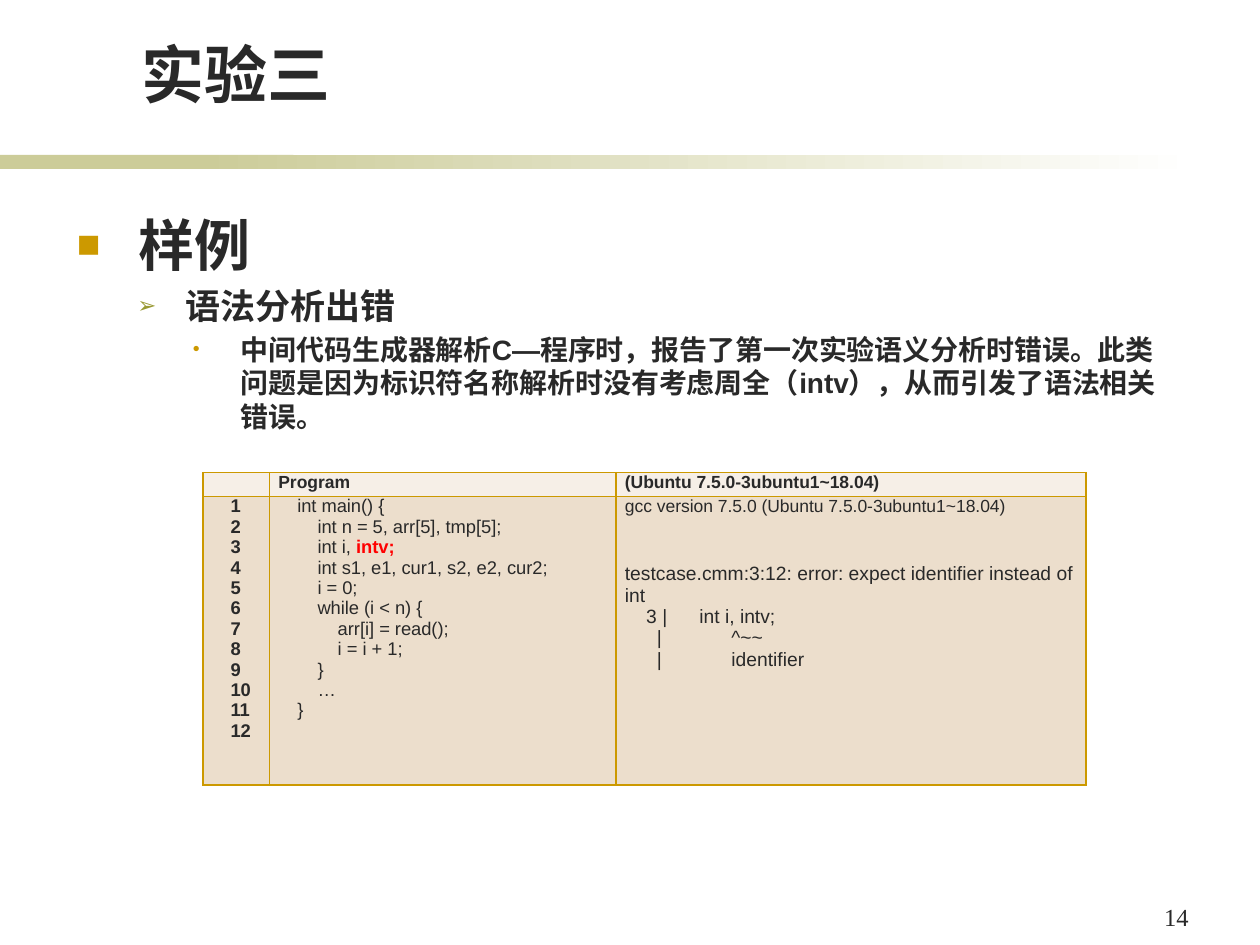
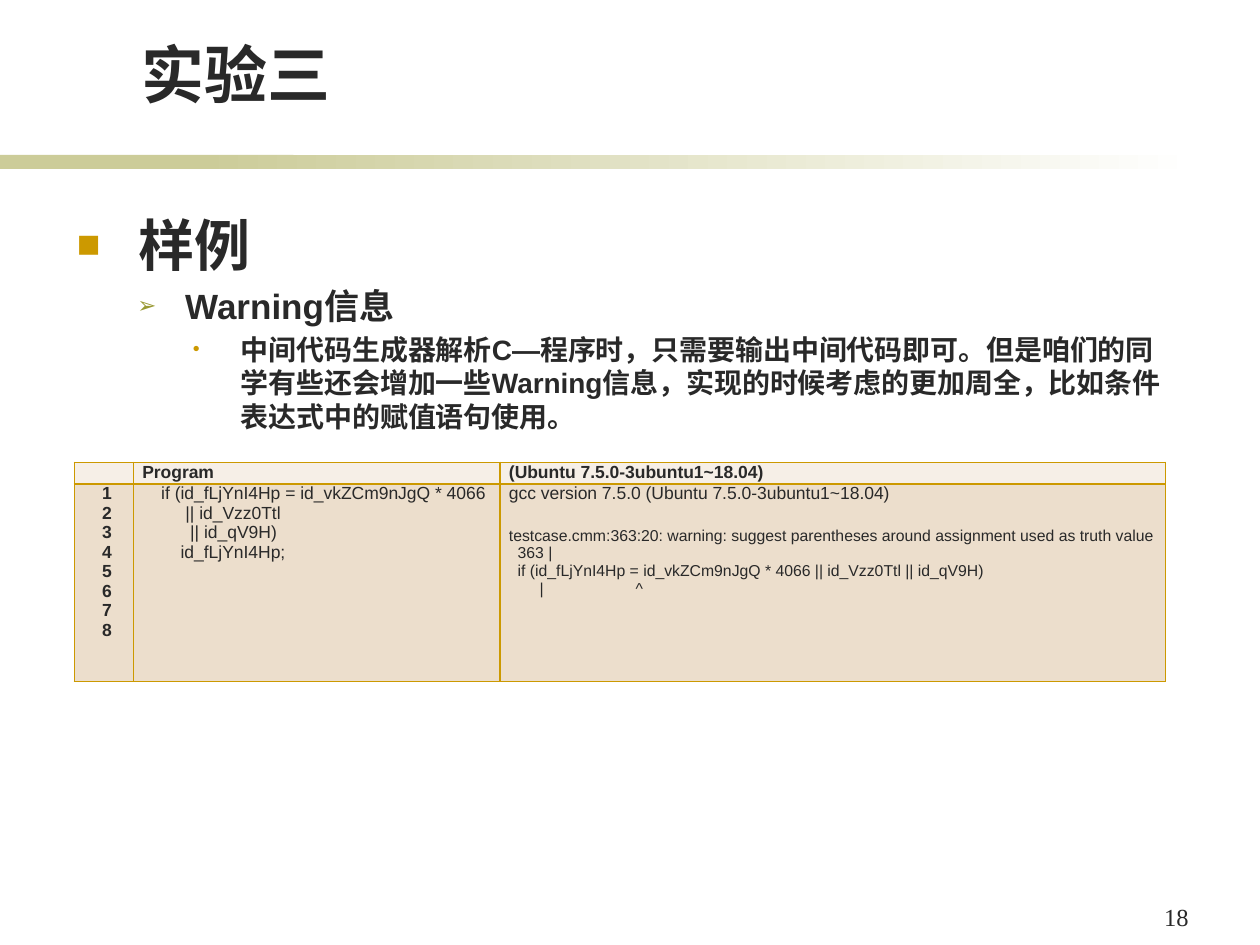
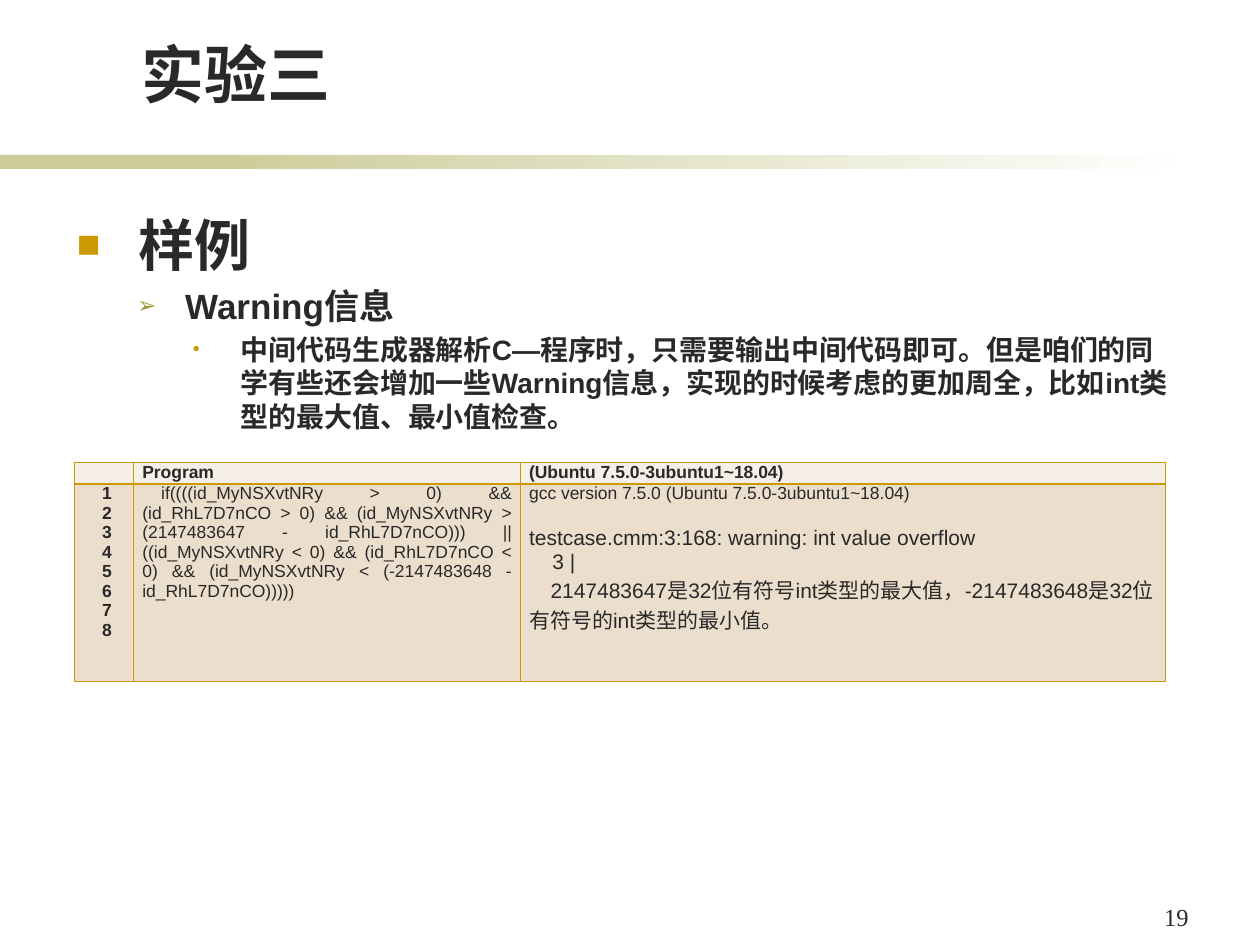
from lxml.etree import SubElement
from pptx import Presentation
from pptx.dml.color import RGBColor
from pptx.enum.shapes import MSO_SHAPE
from pptx.enum.text import MSO_ANCHOR, MSO_AUTO_SIZE, PP_ALIGN
from pptx.oxml.ns import qn
from pptx.util import Inches, Pt

COLORS = {
    "text": "292929", "band": "CCCC99", "paper": "FFFFFF", "gold": "CC9900",
    "olive": "999933", "error": "FF0000", "head": "F6EFE7", "cell": "ECDECC",
}
# Bullet, its colour and size in percent, left margin and hanging in grid columns, text size
LEVELS = [
    ("■", "gold", 70, 4.9, 4.9, 32),
    ("➢", "olive", 65, 8.6, 3.8, 20),
    ("•", "gold", 70, 13, 3.8, 16),
]
COMPILER = "(Ubuntu 7.5.0-3ubuntu1~18.04)"
WARNING_INTRO = ("中间代码生成器解析C—程序时，只需要输出中间代码即可。但是咱们的同学有些"
                 "还会增加一些Warning信息，实现的时候考虑的更加周全，比如")
WIDE_TABLE = {"at": (5.9, 36.7), "rows": (1.7, 15.7), "lines": 8, "code_size": 10, "log_gap": 13.4}

EXAMPLES = [
    {
        "number": 14, "topic": "语法分析出错",
        "detail": "中间代码生成器解析C—程序时，报告了第一次实验语义分析时错误。此类问题是因为"
                  "标识符名称解析时没有考虑周全（intv），从而引发了语法相关错误。",
        "at": (16.1, 37.5), "cols": (5.3, 27.5, 37.3), "rows": (1.9, 22.9),
        "lines": 12, "code_size": 10.5, "log_size": 11, "log_gap": 27,
        "code": [
            "int main() {",
            "    int n = 5, arr[5], tmp[5];",
            "    int i, intv;",
            "    int s1, e1, cur1, s2, e2, cur2;",
            "    i = 0;",
            "    while (i < n) {",
            "        arr[i] = read();",
            "        i = i + 1;",
            "    }",
            "    …",
            "}",
        ],
        "log": [
            "testcase.cmm:3:12: error: expect identifier instead of int",
            "    3 |      int i, intv;",
            "      |             ^~~",
            "      |             identifier",
        ],
    },
    {
        **WIDE_TABLE, "number": 18, "topic": "Warning信息",
        "detail": WARNING_INTRO + "条件表达式中的赋值语句使用。",
        "cols": (4.7, 29.1, 52.8), "log_size": 9,
        "code": [
            "if (id_fLjYnI4Hp = id_vkZCm9nJgQ * 4066",
            "     || id_Vzz0Ttl",
            "      || id_qV9H)",
            "    id_fLjYnI4Hp;",
        ],
        "log": [
            "testcase.cmm:363:20: warning: suggest parentheses around assignment used as truth value",
            "  363 |",
            "  if (id_fLjYnI4Hp = id_vkZCm9nJgQ * 4066 || id_Vzz0Ttl || id_qV9H)",
            "       |                     ^",
        ],
    },
    {
        **WIDE_TABLE, "number": 19, "topic": "Warning信息",
        "detail": WARNING_INTRO + "int类型的最大值、最小值检查。",
        "cols": (4.7, 30.7, 51.2), "log_size": 12,
        "code": [
            "if((((id_MyNSXvtNRy > 0) && (id_RhL7D7nCO > 0) && (id_MyNSXvtNRy > "
            "(2147483647 - id_RhL7D7nCO))) || ((id_MyNSXvtNRy < 0) && (id_RhL7D7nCO < 0) && "
            "(id_MyNSXvtNRy < (-2147483648 - id_RhL7D7nCO)))))",
        ],
        "log": ["testcase.cmm:3:168: warning: int value overflow", "    3 |"],
        "note": "2147483647是32位有符号int类型的最大值，-2147483648是32位有符号的int类型的最小值。",
    },
]

prs = Presentation()
prs.slide_width, prs.slide_height = Inches(10), Inches(7.5)
COLUMN = prs.slide_width / 100  # square grid: 100 columns by 75 rows


def grid(*units):
    return [int(u * COLUMN) for u in units]


def write(p, text, size, bold=False, color="text", font="Arial", east_asian=None):
    """Add a formatted run to paragraph p."""
    r = p.add_run()
    r.text = text
    r.font.size, r.font.bold, r.font.name = Pt(size), bold, font
    r.font.color.rgb = RGBColor.from_string(COLORS[color])
    if east_asian:
        SubElement(r.font._element, qn("a:ea"), typeface=east_asian)


for example in EXAMPLES:
    s = prs.slides.add_slide(prs.slide_layouts[1])

    # Band: a plain start and a part that fades out
    for left, width in ((0, 23.3), (15.8, 79.2)):
        band = s.shapes.add_shape(MSO_SHAPE.RECTANGLE, *grid(left, 12.3, width, 1.1))
        band.shadow.inherit = False
        band.line.fill.background()
        if left == 0:
            band.fill.solid()
            band.fill.fore_color.rgb = RGBColor.from_string(COLORS["band"])
        else:
            band.fill.gradient()
            band.fill.gradient_angle = 0
            for stop, name in zip(band.fill.gradient_stops, ("band", "paper")):
                stop.color.rgb = RGBColor.from_string(COLORS[name])

    number = s.shapes.add_textbox(*grid(91.4, 71.1, 4.7, 3.4))
    write(number.text_frame.paragraphs[0], str(example["number"]), 14, font="Times New Roman")

    title, body = s.placeholders
    for sp, place, anchor in ((title, (10.2, 2.3, 73.4, 7), MSO_ANCHOR.BOTTOM),
                              (body, (5.1, 16.2, 89, 50.6), MSO_ANCHOR.TOP)):
        sp.left, sp.top, sp.width, sp.height = grid(*place)
        sp.text_frame.auto_size = MSO_AUTO_SIZE.NONE
        sp.text_frame.vertical_anchor = anchor
    p = title.text_frame.paragraphs[0]
    p.alignment = PP_ALIGN.LEFT
    write(p, "实验三", 36, True, east_asian="Arial")

    tf = body.text_frame
    for level, text in enumerate(("样例", example["topic"], example["detail"])):
        bullet, color, percent, margin, hanging, size = LEVELS[level]
        p = tf.add_paragraph() if level else tf.paragraphs[0]
        p.level = level
        if level == 0:
            p.space_before = Pt(0)
        pPr = p._p.get_or_add_pPr()
        pPr.set("marL", str(grid(margin)[0]))
        pPr.set("indent", str(-grid(hanging)[0]))
        SubElement(SubElement(pPr, qn("a:buClr")), qn("a:srgbClr"), val=COLORS[color])
        SubElement(pPr, qn("a:buSzPct"), val=str(percent * 1000))
        SubElement(pPr, qn("a:buFont"), typeface="Arial")
        SubElement(pPr, qn("a:buChar"), char=bullet)
        write(p, text, size, True, east_asian="Arial")

    cols, rows = example["cols"], example["rows"]
    table = s.shapes.add_table(2, 3, *grid(*example["at"], sum(cols), sum(rows))).table
    table.first_row = table.horz_banding = False
    for column, width in zip(table.columns, grid(*cols)):
        column.width = width
    for row, height in zip(table.rows, grid(*rows)):
        row.height = height
    for i, cell in enumerate(table.iter_cells()):
        cell.margin_left = cell.margin_right = grid(0.7)[0]
        cell.margin_top = cell.margin_bottom = 0
        tcPr = cell._tc.get_or_add_tcPr()
        for side in ("lnL", "lnR", "lnT", "lnB"):
            ln = SubElement(tcPr, qn("a:" + side), w=str(Pt(1)))
            SubElement(SubElement(ln, qn("a:solidFill")), qn("a:srgbClr"), val=COLORS["gold"])
        cell.fill.solid()
        cell.fill.fore_color.rgb = RGBColor.from_string(COLORS["head" if i < 3 else "cell"])

    corner = table.cell(0, 0).text_frame.paragraphs[0]
    SubElement(corner._p, qn("a:endParaRPr"), sz="1000")
    for col, heading in ((1, "Program"), (2, COMPILER)):
        p = table.cell(0, col).text_frame.paragraphs[0]
        p.alignment = PP_ALIGN.JUSTIFY
        write(p, heading, 10, True)

    line_numbers = [str(n + 1) for n in range(example["lines"])]
    for col, lines in enumerate((line_numbers, example["code"])):
        tf = table.cell(1, col).text_frame
        for i, line in enumerate(lines):
            p = tf.add_paragraph() if i else tf.paragraphs[0]
            p.alignment = PP_ALIGN.JUSTIFY
            p._p.get_or_add_pPr().set("indent", str(grid(1.5)[0]))
            plain, mistake, _ = line.partition("intv;")
            write(p, plain, example["code_size"], col == 0)
            if mistake:
                write(p, mistake, example["code_size"], True, "error")

    tf = table.cell(1, 2).text_frame
    p = tf.paragraphs[0]
    p.alignment = PP_ALIGN.JUSTIFY
    write(p, "gcc version 7.5.0 " + COMPILER, 10)
    for i, line in enumerate(example["log"]):
        p = tf.add_paragraph()
        if i == 0:
            p.space_before = Pt(example["log_gap"])
        write(p, line, example["log_size"])
    if "note" in example:
        p = tf.add_paragraph()
        p._p.get_or_add_pPr().set("indent", str(grid(1.7)[0]))
        write(p, example["note"], example["log_size"])

prs.save("out.pptx")
